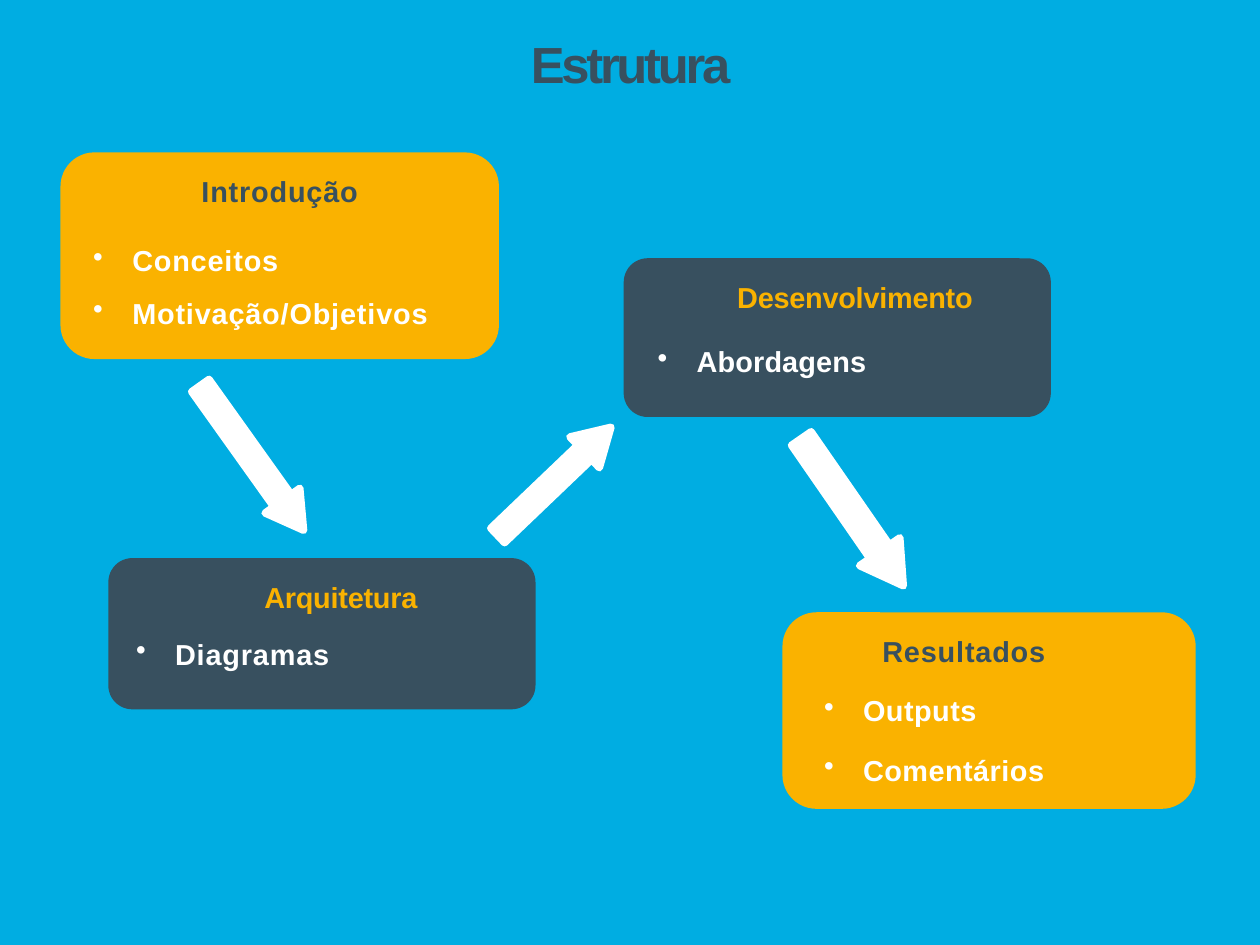
from math import hypot

from lxml.etree import SubElement
from pptx import Presentation
from pptx.dml.color import RGBColor
from pptx.enum.shapes import MSO_SHAPE
from pptx.enum.text import PP_ALIGN
from pptx.oxml.ns import qn
from pptx.util import Inches, Pt

BLUE, SLATE, AMBER, WHITE = "00ADE2", "38505F", "FAB200", "FFFFFF"


def paint(fill, color):
    fill.solid()
    fill.fore_color.rgb = RGBColor.from_string(color)


def add_text(s, box, lines, color, size, spacing, align=PP_ALIGN.LEFT, gap=0):
    tb = s.shapes.add_textbox(*map(Inches, box))
    tf = tb.text_frame
    tf.word_wrap = True
    tf.margin_left = tf.margin_top = tf.margin_right = tf.margin_bottom = 0
    tf.text = "\n".join(lines)
    for i, p in enumerate(tf.paragraphs):
        p.alignment = align
        p.space_before = Pt(gap if i else 0)
        r = p.runs[0]
        r.font.name = "Arial"
        r.font.size = Pt(size)
        r.font.bold = True
        paint(r.font.fill, color)
        r._r.get_or_add_rPr().set("spc", str(round(spacing * 100)))
    return tf


def add_bullets(tf):
    for p in tf.paragraphs:
        pPr = p._p.get_or_add_pPr()
        pPr.set("marL", str(Inches(0.33)))
        pPr.set("indent", str(Inches(-0.31)))
        SubElement(pPr, qn("a:buChar")).set("char", "•")


def add_card(s, box, fill, heading, items, shift, list_at, spacing, gap=0):
    x, y, w, h = box
    amber = fill == AMBER
    sp = s.shapes.add_shape(MSO_SHAPE.ROUNDED_RECTANGLE, *map(Inches, box))
    sp.adjustments[0] = (0.27 if amber else 0.19) / h
    sp.shadow.inherit = False
    sp.line.fill.background()
    paint(sp.fill, fill)
    add_text(s, (x + shift, y + 0.17, w, 0.27), [heading],
             SLATE if amber else AMBER, 16.5, 0.5 if amber else -0.1,
             PP_ALIGN.CENTER)
    dx, dy = list_at
    tf = add_text(s, (x + dx, y + dy, w - dx, 0.27 * len(items)), items,
                  WHITE, 16.5, spacing, gap=gap)
    add_bullets(tf)


def add_arrow(s, tail, tip, shaft, head, head_length):
    length = hypot(tip[0] - tail[0], tip[1] - tail[1])
    ux, uy = (tip[0] - tail[0]) / length, (tip[1] - tail[1]) / length
    neck = length - head_length
    outline = [(0, shaft / 2), (neck, shaft / 2), (neck, head / 2), (length, 0),
               (neck, -head / 2), (neck, -shaft / 2), (0, -shaft / 2)]
    points = [(Inches(tail[0] + a * ux - b * uy), Inches(tail[1] + a * uy + b * ux))
              for a, b in outline]
    fb = s.shapes.build_freeform(*points[0])
    fb.add_line_segments(points[1:], close=True)
    sp = fb.convert_to_shape()
    sp.shadow.inherit = False
    paint(sp.fill, WHITE)
    paint(sp.line.fill, WHITE)
    sp.line.width = Pt(4.17)
    SubElement(sp.line._get_or_add_ln(), qn("a:round"))


def main():
    prs = Presentation()
    prs.slide_width, prs.slide_height = Inches(10), Inches(7.5)
    s = prs.slides.add_slide(prs.slide_layouts[6])
    paint(s.background.fill, BLUE)

    add_text(s, (4.17, 0.26, 1.67, 0.49), ["Estrutura"], SLATE, 29, -1.9,
             PP_ALIGN.CENTER)

    add_card(s, (0.48, 1.21, 3.48, 1.64), AMBER, "Introdução",
             ["Conceitos", "Motivação/Objetivos"], 0, (0.24, 0.72), 0.5, 10.2)
    add_card(s, (0.86, 4.43, 3.39, 1.2), SLATE, "Arquitetura",
             ["Diagramas"], 0.15, (0.2, 0.62), 0.5)
    add_card(s, (4.95, 2.05, 3.39, 1.26), SLATE, "Desenvolvimento",
             ["Abordagens"], 0.14, (0.25, 0.68), 0.1)
    add_card(s, (6.21, 4.86, 3.28, 1.56), AMBER, "Resultados",
             ["Outputs", "Comentários"], -0.2, (0.31, 0.64), 0.3, 14.2)

    add_arrow(s, (1.59, 3.06), (2.41, 4.21), 0.17, 0.34, 0.29)
    add_arrow(s, (3.95, 4.25), (4.85, 3.39), 0.16, 0.34, 0.29)
    add_arrow(s, (6.36, 3.48), (7.17, 4.65), 0.19, 0.39, 0.33)

    prs.save("out.pptx")


if __name__ == "__main__":
    main()
